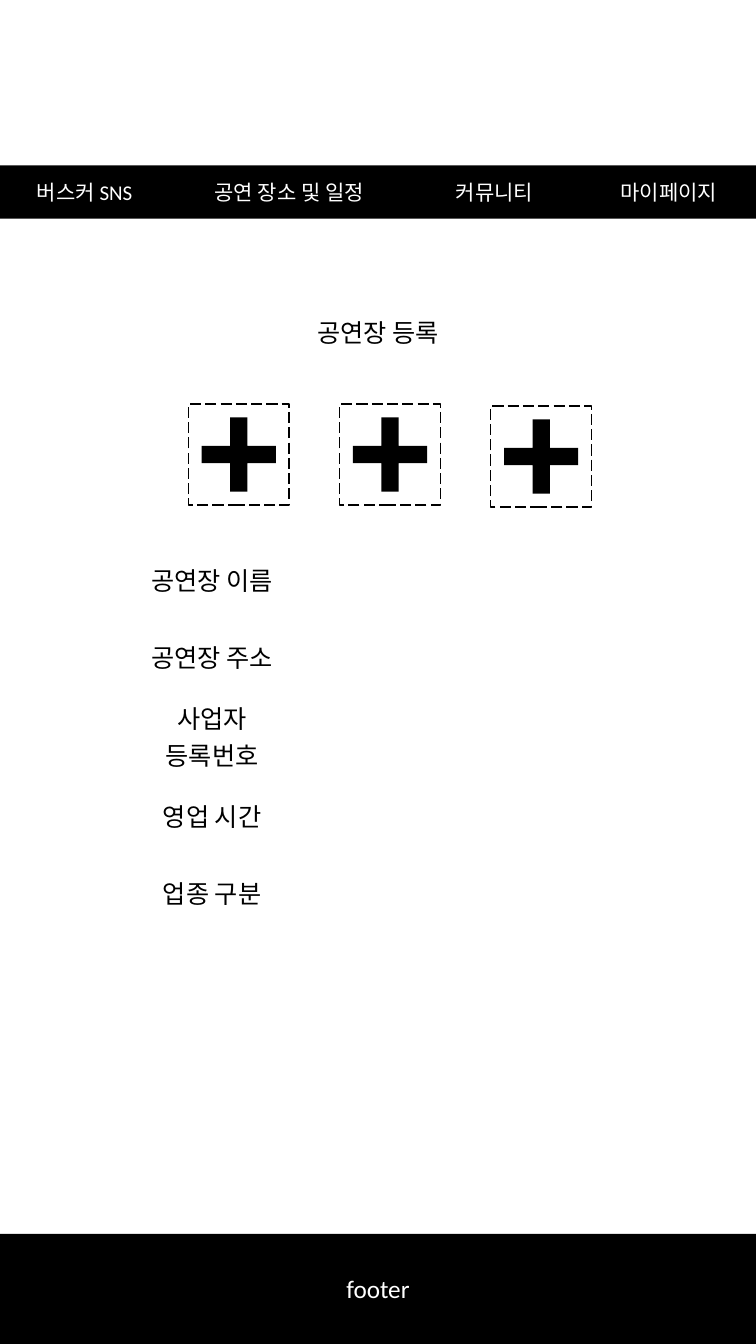
from dataclasses import dataclass

from lxml import etree
from pptx import Presentation
from pptx.dml.color import RGBColor
from pptx.enum.dml import MSO_LINE
from pptx.enum.shapes import MSO_SHAPE
from pptx.enum.text import MSO_ANCHOR, MSO_AUTO_SIZE, PP_ALIGN
from pptx.oxml.ns import qn
from pptx.util import Pt

BLACK = RGBColor(0x00, 0x00, 0x00)
WHITE = RGBColor(0xFF, 0xFF, 0xFF)
FONT = "Calibri"
RECT, PLUS = MSO_SHAPE.RECTANGLE, MSO_SHAPE.MATH_PLUS
LONG_DASH = MSO_LINE.LONG_DASH
MIDDLE, TOP = MSO_ANCHOR.MIDDLE, MSO_ANCHOR.TOP
CENTER, LEFT = PP_ALIGN.CENTER, PP_ALIGN.LEFT
NO_AUTOFIT = MSO_AUTO_SIZE.NONE

SLIDE_W, SLIDE_H = 540, 960
TILE_SIZE = 72
TILE_LEFT, TILE_STEP = 134.6, 108
PLUS_THICKNESS = 0.171
ROW_H = 54.72
LABEL_W, FIELD_W = 127.4, 232.6
NAV_INSET = 26.4


@dataclass
class Bar:
    text: str
    top: float
    height: float
    size: float
    align: PP_ALIGN


@dataclass
class Tile:
    left: float
    top: float


NAV_ITEMS = ["버스커 SNS", "공연 장소 및 일정", "커뮤니티", "마이페이지"]
NAV_TABS = [127, 299.3, 417]
NAV = Bar("\t".join(NAV_ITEMS), 118.1, 38, 15, LEFT)
FOOTER = Bar("footer", 881.3, 78.7, 18, CENTER)
TILES = [Tile(TILE_LEFT + i * TILE_STEP, top)
         for i, top in enumerate([288.7, 288.7, 290.1])]
FIELDS = ["공연장 이름", "공연장 주소", "사업자 등록번호", "영업 시간", "업종 구분"]


def style_text(tf, size: float, color: RGBColor, align: PP_ALIGN) -> None:
    for p in tf.paragraphs:
        p.alignment = align
        for r in p.runs:
            r.font.name = FONT
            r.font.size = Pt(size)
            r.font.bold = False
            r.font.color.rgb = color


def add_filled(shapes, kind: MSO_SHAPE, left: float, top: float,
               width: float, height: float, color: RGBColor):
    sp = shapes.add_shape(kind, Pt(left), Pt(top), Pt(width), Pt(height))
    sp.shadow.inherit = False
    sp.fill.solid()
    sp.fill.fore_color.rgb = color
    sp.line.fill.background()
    return sp


def add_bar(shapes, bar: Bar):
    sp = add_filled(shapes, RECT, 0, bar.top, SLIDE_W, bar.height, BLACK)
    tf = sp.text_frame
    tf.text = bar.text
    tf.vertical_anchor = MIDDLE
    style_text(tf, bar.size, WHITE, bar.align)
    return sp


def set_tabs(p, positions: list[float]) -> None:
    tabs = etree.SubElement(p._p.get_or_add_pPr(), qn("a:tabLst"))
    for pos in positions:
        etree.SubElement(tabs, qn("a:tab"), pos=str(int(Pt(pos))), algn="l")


def add_tile(shapes, tile: Tile) -> None:
    group = shapes.add_group_shape()
    box = (tile.left, tile.top, TILE_SIZE, TILE_SIZE)
    frame = add_filled(group.shapes, RECT, *box, WHITE)
    frame.line.color.rgb = BLACK
    frame.line.width = Pt(1)
    frame.line.dash_style = LONG_DASH
    plus = add_filled(group.shapes, PLUS, *box, BLACK)
    plus.adjustments[0] = PLUS_THICKNESS


def add_form(shapes, labels: list[str]) -> None:
    table = shapes.add_table(len(labels), 2, Pt(87.8), Pt(386.6),
                             Pt(LABEL_W + FIELD_W),
                             Pt(ROW_H * len(labels))).table
    table.first_row = table.horz_banding = False
    table.columns[0].width, table.columns[1].width = Pt(LABEL_W), Pt(FIELD_W)
    for row, label in zip(table.rows, labels):
        row.height = Pt(ROW_H)
        for cell in row.cells:
            cell.fill.solid()
            cell.fill.fore_color.rgb = WHITE
            cell.vertical_anchor = MIDDLE
        name = row.cells[0].text_frame
        name.text = label
        style_text(name, 18, BLACK, CENTER)


def main() -> None:
    prs = Presentation()
    prs.slide_width, prs.slide_height = Pt(SLIDE_W), Pt(SLIDE_H)
    slide = prs.slides.add_slide(prs.slide_layouts[5])
    shapes = slide.shapes

    # Navigation bar and footer
    nav = add_bar(shapes, NAV).text_frame
    nav.margin_left, nav.margin_right = Pt(NAV_INSET), Pt(0)
    set_tabs(nav.paragraphs[0], NAV_TABS)
    add_bar(shapes, FOOTER)

    # Page title
    title = shapes.title
    title.left, title.top = Pt(162.7), Pt(223.2)
    title.width, title.height = Pt(214.6), Pt(29)
    tf = title.text_frame
    tf.text = "공연장 등록"
    tf.auto_size = NO_AUTOFIT
    tf.vertical_anchor = TOP
    style_text(tf, 18, BLACK, CENTER)

    # Registration form
    add_form(shapes, FIELDS)

    # Photo upload tiles
    for tile in TILES:
        add_tile(shapes, tile)

    prs.save("out.pptx")


if __name__ == "__main__":
    main()
